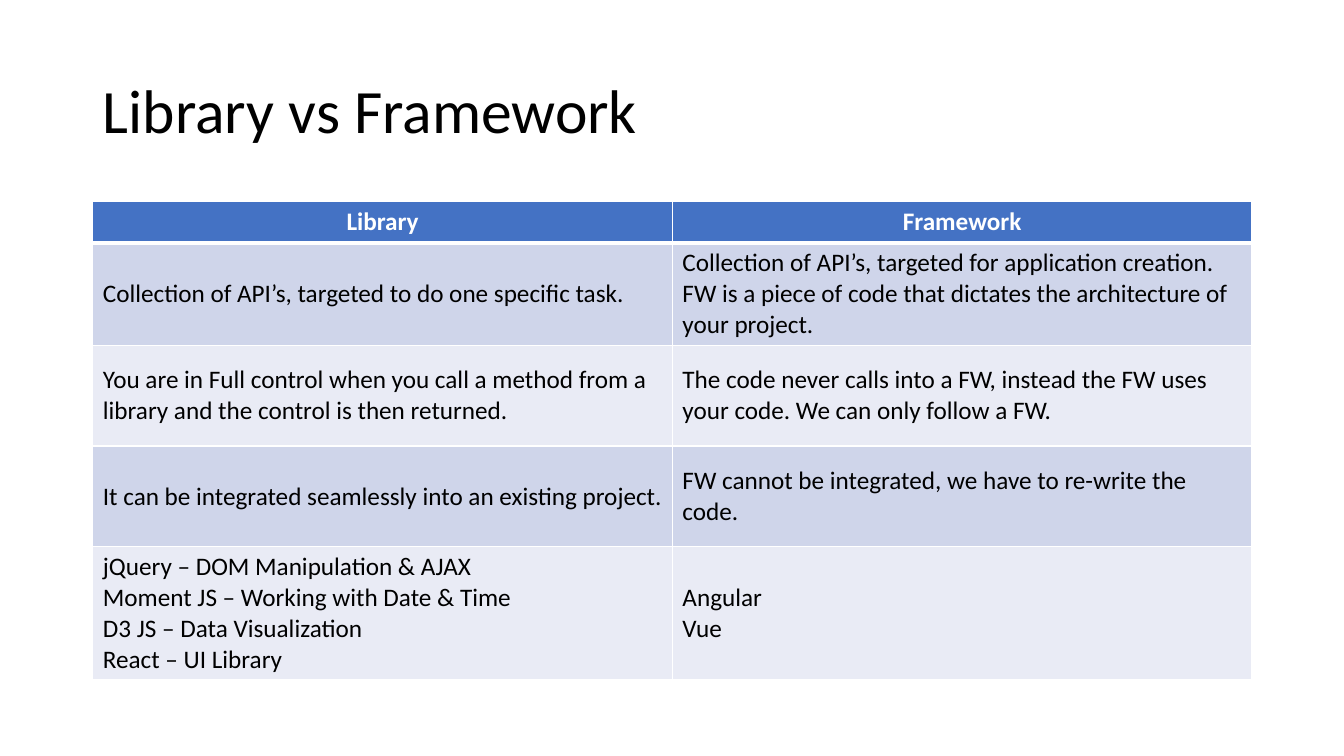
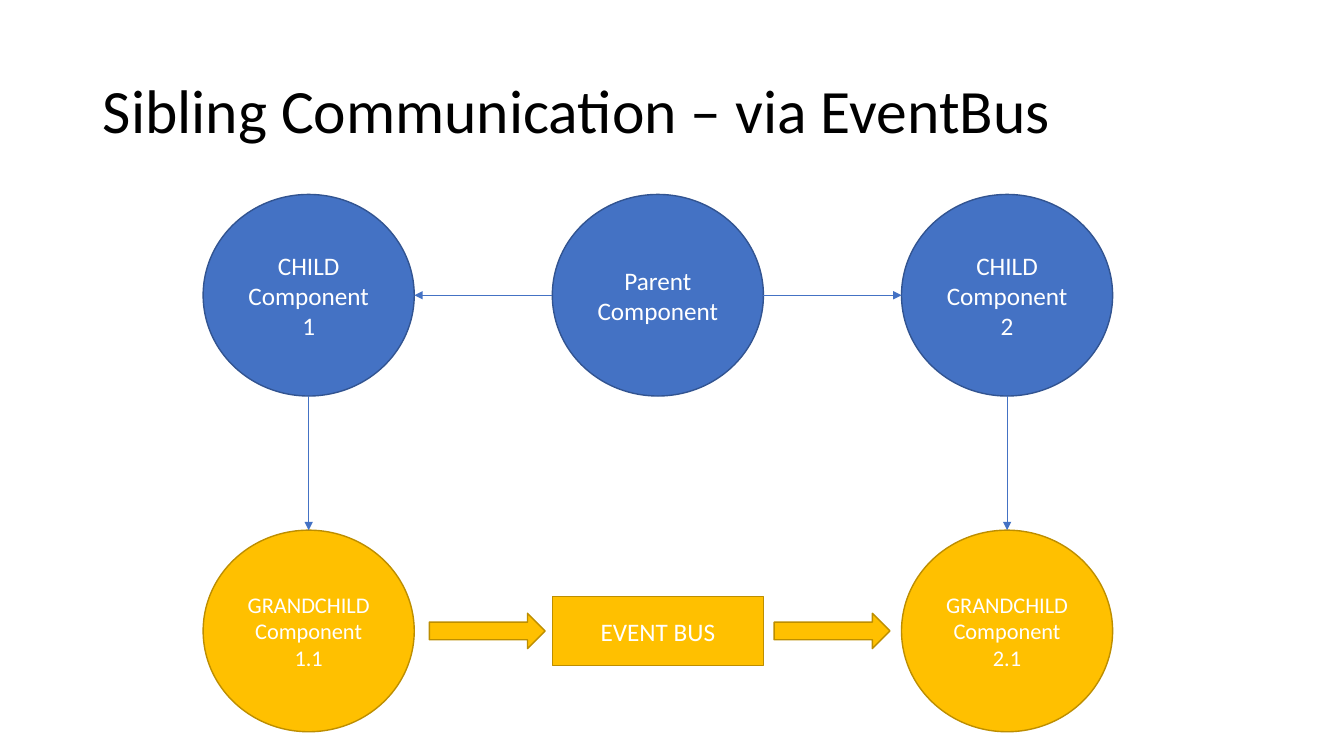
from lxml.etree import SubElement
from pptx import Presentation
from pptx.dml.color import RGBColor
from pptx.enum.shapes import MSO_CONNECTOR, MSO_SHAPE
from pptx.enum.text import MSO_ANCHOR, MSO_AUTO_SIZE, PP_ALIGN
from pptx.oxml.ns import qn
from pptx.util import Cm, Pt

COLOURS = {
    "text": "000000",
    "white": "FFFFFF",
    "blue": "4472C4",
    "blue_edge": "325491",
    "gold": "FFC000",
    "gold_edge": "BD8E00",
    "band_dark": "CFD5EA",
    "band_light": "E9EBF5",
}
FONT = "Calibri"
TITLE_ONLY = 5
MARGIN, CONTENT_WIDTH = 2.34, 29.21

# Diagram grid, in centimetres
LEFT, MIDDLE, RIGHT = (7.78 + 8.8 * step for step in range(3))
TOP_ROW, BOTTOM_ROW = 7.44, 15.9
NODE_WIDTH, CIRCLE_HEIGHT, BUS_HEIGHT = 5.32, 5.08, 1.75
ARROW_WIDTH, ARROW_HEIGHT = 2.92, 0.89

COMPARISON = [
    ("Library", "Framework"),
    ("Collection of API’s, targeted to do one specific task.",
     "Collection of API’s, targeted for application creation. "
     "FW is a piece of code that dictates the architecture of your project."),
    ("You are in Full control when you call a method from a library "
     "and the control is then returned.",
     "The code never calls into a FW, instead the FW uses your code. "
     "We can only follow a FW."),
    ("It can be integrated seamlessly into an existing project.",
     "FW cannot be integrated, we have to re-write the code."),
    ("jQuery – DOM Manipulation & AJAX\n"
     "Moment JS – Working with Date & Time\n"
     "D3 JS – Data Visualization\n"
     "React – UI Library",
     "Angular\nVue"),
]
ROW_HEIGHTS = [1.04, 2.54, 2.54, 2.54, 3.3]


def colour(name):
    return RGBColor.from_string(COLOURS[name])


def write(frame, text, size, ink, align, bold=False):
    """Fill a text frame, one paragraph for each line of text."""
    frame.text = text
    for paragraph in frame.paragraphs:
        paragraph.alignment = align
        font = paragraph.font
        font.name, font.size, font.bold = FONT, Pt(size), bold
        font.color.rgb = colour(ink)


def add_titled_page(deck, text):
    page = deck.slides.add_slide(deck.slide_layouts[TITLE_ONLY])
    title = page.shapes.title
    title.left, title.top = Cm(MARGIN), Cm(1.02)
    title.width, title.height = Cm(CONTENT_WIDTH), Cm(3.68)
    frame = title.text_frame
    frame.auto_size = MSO_AUTO_SIZE.NONE
    frame.vertical_anchor = MSO_ANCHOR.MIDDLE
    write(frame, text, 44, "text", PP_ALIGN.LEFT)
    frame.paragraphs[0].line_spacing = 0.9
    return page


def set_borders(cell, top, bottom):
    """Draw white borders; top and bottom are widths in points."""
    properties = cell._tc.get_or_add_tcPr()
    for side, width in (("L", 1), ("R", 1), ("T", top), ("B", bottom)):
        line = SubElement(properties, qn(f"a:ln{side}"), w=str(Pt(width)))
        fill = SubElement(line, qn("a:solidFill"))
        SubElement(fill, qn("a:srgbClr"), val=COLOURS["white"])


def add_comparison_table(page):
    table = page.shapes.add_table(
        len(COMPARISON), 2, Cm(MARGIN), Cm(5.08),
        Cm(CONTENT_WIDTH), Cm(sum(ROW_HEIGHTS))).table
    for row, height in zip(table.rows, ROW_HEIGHTS):
        row.height = Cm(height)
    for number, texts in enumerate(COMPARISON):
        header = number == 0
        band = "blue" if header else "band_dark" if number % 2 else "band_light"
        for column, text in enumerate(texts):
            cell = table.cell(number, column)
            set_borders(cell, 3 if number == 1 else 1, 3 if header else 1)
            cell.fill.solid()
            cell.fill.fore_color.rgb = colour(band)
            if header:
                write(cell.text_frame, text, 18, "white", PP_ALIGN.CENTER, True)
            else:
                cell.vertical_anchor = MSO_ANCHOR.MIDDLE
                write(cell.text_frame, text, 18, "text", PP_ALIGN.LEFT)


def add_node(page, kind, centre, size, paint, text="", text_size=18):
    """Add a filled shape around its centre point."""
    (x, y), (width, height) = centre, size
    shape = page.shapes.add_shape(
        kind, Cm(x - width / 2), Cm(y - height / 2), Cm(width), Cm(height))
    shape.shadow.inherit = False
    shape.fill.solid()
    shape.fill.fore_color.rgb = colour(paint)
    shape.line.color.rgb = colour(f"{paint}_edge")
    shape.line.width = Pt(1)
    if text:
        shape.text_frame.vertical_anchor = MSO_ANCHOR.MIDDLE
        write(shape.text_frame, text, text_size, "white", PP_ALIGN.CENTER)


def add_arrow_line(page, start, end):
    points = [Cm(length) for length in (*start, *end)]
    connector = page.shapes.add_connector(MSO_CONNECTOR.STRAIGHT, *points)
    connector.line.color.rgb = colour("blue")
    connector.line.width = Pt(0.5)
    properties = connector._element.spPr
    SubElement(properties.find(qn("a:ln")), qn("a:tailEnd"), type="triangle")
    SubElement(properties, qn("a:effectLst"))


def add_event_bus_diagram(page):
    circle = (NODE_WIDTH, CIRCLE_HEIGHT)
    add_node(page, MSO_SHAPE.OVAL, (MIDDLE, TOP_ROW), circle, "blue",
             "Parent Component")
    for number, x, side in ((1, LEFT, -1), (2, RIGHT, 1)):
        add_node(page, MSO_SHAPE.OVAL, (x, TOP_ROW), circle, "blue",
                 f"CHILD Component\n{number}")
        add_node(page, MSO_SHAPE.OVAL, (x, BOTTOM_ROW), circle, "gold",
                 f"GRANDCHILD Component\n{number}.1", 16)
        add_arrow_line(page, (MIDDLE + side * NODE_WIDTH / 2, TOP_ROW),
                       (x - side * NODE_WIDTH / 2, TOP_ROW))
        add_arrow_line(page, (x, TOP_ROW + CIRCLE_HEIGHT / 2),
                       (x, BOTTOM_ROW - CIRCLE_HEIGHT / 2))
    add_node(page, MSO_SHAPE.RECTANGLE, (MIDDLE, BOTTOM_ROW),
             (NODE_WIDTH, BUS_HEIGHT), "gold", "EVENT BUS")
    for x in (12.28, 20.97):
        add_node(page, MSO_SHAPE.RIGHT_ARROW, (x, BOTTOM_ROW),
                 (ARROW_WIDTH, ARROW_HEIGHT), "gold")


def main():
    deck = Presentation()
    deck.slide_width, deck.slide_height = Cm(33.87), Cm(19.05)
    add_comparison_table(add_titled_page(deck, "Library vs Framework"))
    add_event_bus_diagram(
        add_titled_page(deck, "Sibling Communication – via EventBus"))
    deck.save("out.pptx")


if __name__ == "__main__":
    main()
